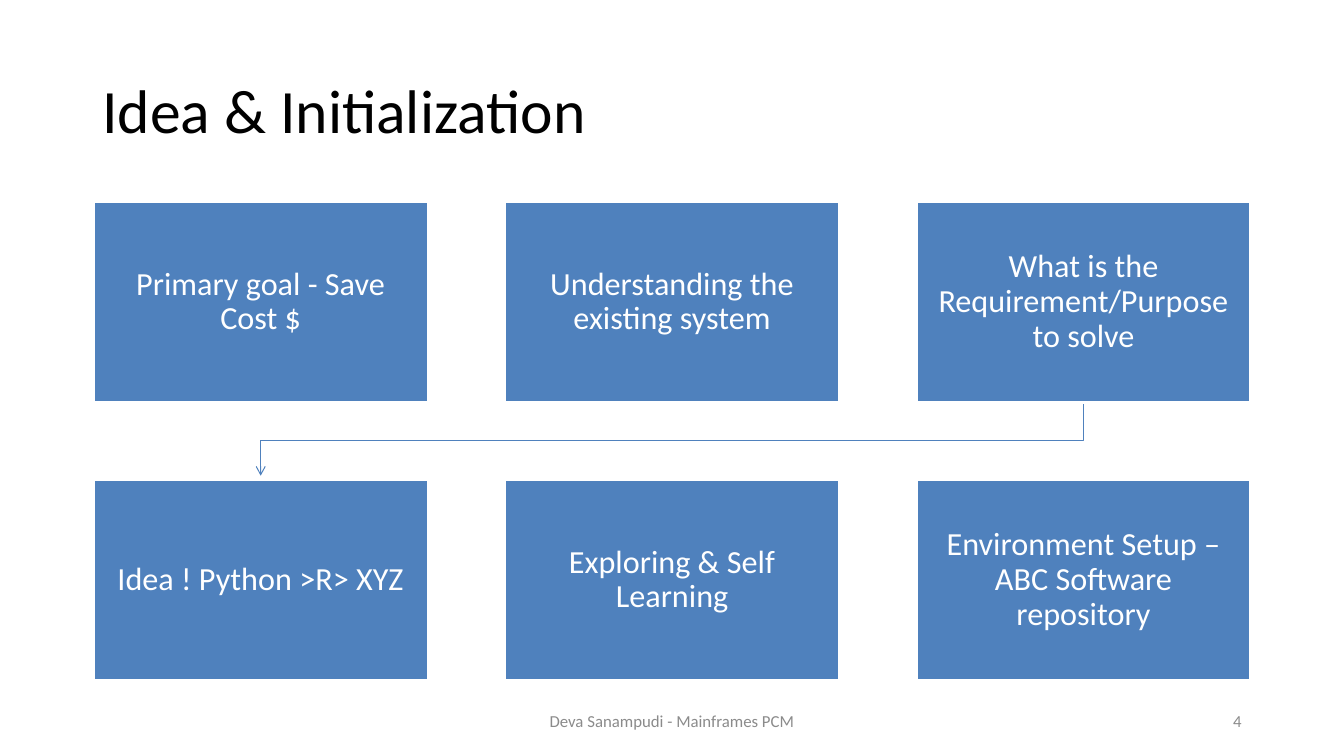
"""Build the Idea & Initialization slide: a six-step flow in two rows."""
from dataclasses import dataclass

from lxml import etree
from pptx import Presentation
from pptx.dml.color import RGBColor
from pptx.enum.shapes import MSO_SHAPE
from pptx.enum.text import MSO_ANCHOR, MSO_AUTO_SIZE, PP_ALIGN
from pptx.oxml.ns import qn
from pptx.slide import Slide
from pptx.text.text import TextFrame
from pptx.util import Pt

RECT = MSO_SHAPE.RECTANGLE
MIDDLE = MSO_ANCHOR.MIDDLE
NO_FIT = MSO_AUTO_SIZE.NONE
LEFT, CENTER, RIGHT = PP_ALIGN.LEFT, PP_ALIGN.CENTER, PP_ALIGN.RIGHT


@dataclass(frozen=True)
class Theme:
    font: str = "Calibri"
    accent: RGBColor = RGBColor(0x4F, 0x81, 0xBD)
    white: RGBColor = RGBColor(0xFF, 0xFF, 0xFF)
    black: RGBColor = RGBColor(0, 0, 0)
    gray: RGBColor = RGBColor(0x8B, 0x8B, 0x8B)
    title_size: float = 44
    step_size: float = 23
    footer_size: float = 12


@dataclass(frozen=True)
class Box:
    left: float
    top: float
    width: float
    height: float


@dataclass(frozen=True)
class Footer:
    text: str
    box: Box
    align: PP_ALIGN


THEME = Theme()
COLS = 3
FIRST = Box(66.75, 144, 239, 143.4)
PITCH_X, PITCH_Y = 293.9, 198.6
TITLE_BOX = Box(66, 28.75, 828, 104.4)
STEPS = [
    "Primary goal - Save Cost $",
    "Understanding the existing system",
    "What is the Requirement/Purpose to solve",
    "Idea ! Python >R> XYZ",
    "Exploring & Self Learning",
    "Environment Setup – ABC Software repository",
]
FOOTERS = [
    Footer("Deva Sanampudi - Mainframes PCM", Box(318, 500.5, 324, 28.75), CENTER),
    Footer("4", Box(678, 500.5, 216, 28.75), RIGHT),
]


def step_box(index: int) -> Box:
    row, col = divmod(index, COLS)
    return Box(FIRST.left + col * PITCH_X, FIRST.top + row * PITCH_Y,
               FIRST.width, FIRST.height)


def emu(box: Box) -> tuple:
    return Pt(box.left), Pt(box.top), Pt(box.width), Pt(box.height)


def write(tf: TextFrame, text: str, size: float, color: RGBColor,
          align: PP_ALIGN, spacing: float = 1.0) -> None:
    tf.text = text
    tf.word_wrap = True
    tf.auto_size = NO_FIT
    tf.vertical_anchor = MIDDLE
    p = tf.paragraphs[0]
    p.alignment = align
    p.line_spacing = spacing
    font = p.runs[0].font
    font.name, font.size = THEME.font, Pt(size)
    font.color.rgb = color


def add_title(slide: Slide, text: str) -> None:
    sp = slide.shapes.title
    sp.left, sp.top, sp.width, sp.height = emu(TITLE_BOX)
    write(sp.text_frame, text, THEME.title_size, THEME.black, LEFT, 0.9)


def add_row_arrow(slide: Slide, start: Box, end: Box) -> None:
    x1, x2 = start.left + start.width / 2, end.left + end.width / 2
    y1, y2 = start.top + start.height, end.top - 2.75
    bend = (start.top + start.height + end.top) / 2
    fb = slide.shapes.build_freeform(Pt(x1), Pt(y1))
    corners = [(x1, bend), (x2, bend), (x2, y2)]
    fb.add_line_segments([(Pt(x), Pt(y)) for x, y in corners], close=False)
    sp = fb.convert_to_shape()
    sp.shadow.inherit = False
    sp.fill.background()
    sp.line.color.rgb = THEME.accent
    sp.line.width = Pt(0.75)
    ln = sp.line._get_or_add_ln()
    etree.SubElement(ln, qn("a:tailEnd"), type="arrow")


def add_step(slide: Slide, text: str, box: Box) -> None:
    sp = slide.shapes.add_shape(RECT, *emu(box))
    sp.shadow.inherit = False
    sp.fill.solid()
    sp.fill.fore_color.rgb = THEME.accent
    sp.line.color.rgb = THEME.white
    sp.line.width = Pt(2)
    tf = sp.text_frame
    tf.margin_left = tf.margin_right = Pt(11.5)
    tf.margin_top = tf.margin_bottom = Pt(12.25)
    write(tf, text, THEME.step_size, THEME.white, CENTER, 0.9)
    tf.paragraphs[0].space_after = Pt(8.1)


def add_footer(slide: Slide, footer: Footer) -> None:
    sp = slide.shapes.add_textbox(*emu(footer.box))
    write(sp.text_frame, footer.text, THEME.footer_size, THEME.gray, footer.align)


def main() -> None:
    prs = Presentation()
    prs.slide_width, prs.slide_height = Pt(960), Pt(540)
    slide = prs.slides.add_slide(prs.slide_layouts.get_by_name("Title Only"))
    add_title(slide, "Idea & Initialization")
    add_row_arrow(slide, step_box(COLS - 1), step_box(COLS))
    for i, text in enumerate(STEPS):
        add_step(slide, text, step_box(i))
    for footer in FOOTERS:
        add_footer(slide, footer)
    prs.save("out.pptx")


main()
